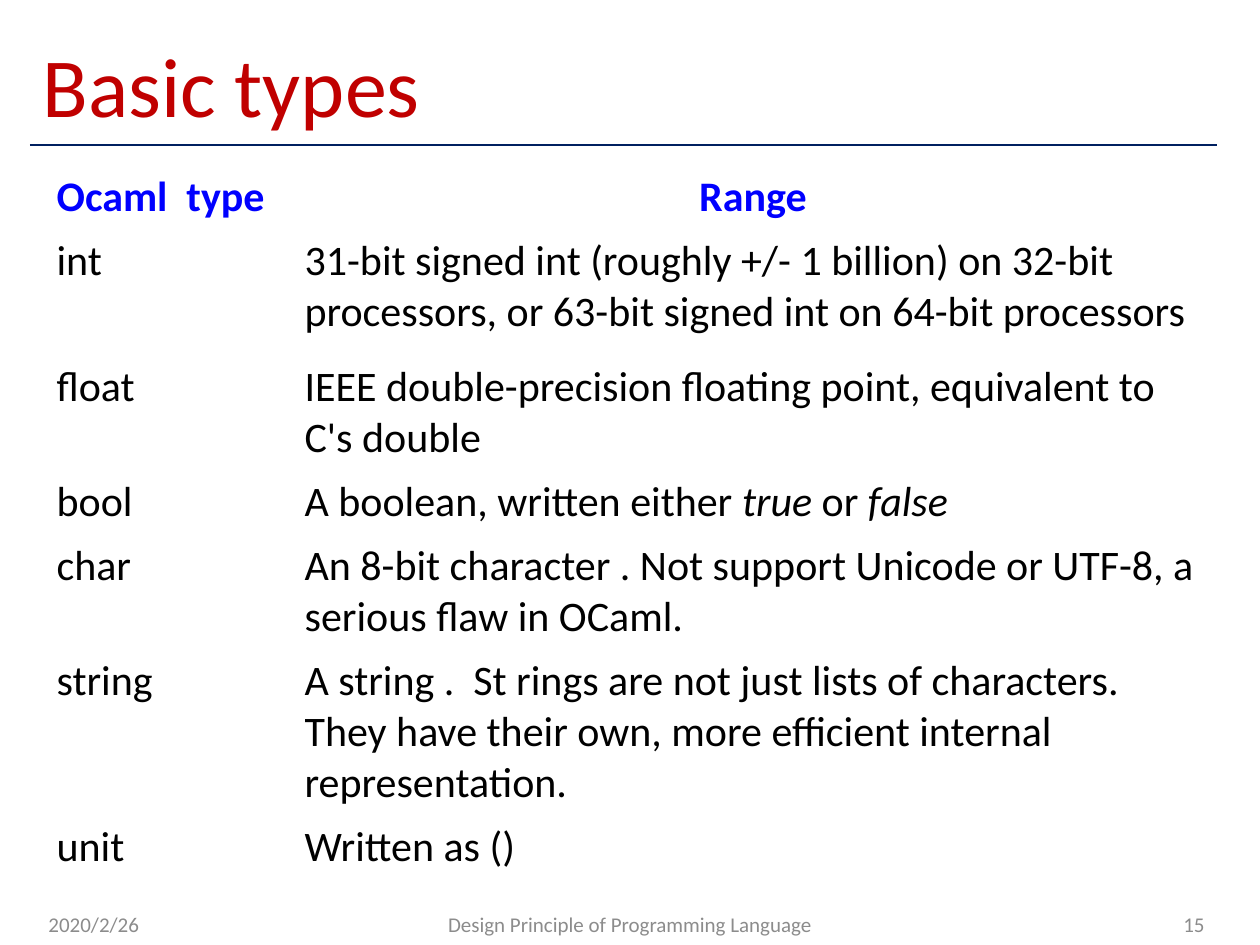
from dataclasses import dataclass

from lxml import etree
from pptx import Presentation, util as u
from pptx.dml.color import RGBColor
from pptx.enum import shapes, text
from pptx.oxml import ns

PX = 914400 // 126  # EMU per pixel


@dataclass(frozen=True)
class Theme:
    font: str = "Calibri"
    title: str = "C00000"
    rule: str = "002060"
    header: str = "0000FF"
    body: str = "000000"
    footer: str = "8C8C8C"
    title_size: int = 48
    body_size: int = 24
    footer_size: int = 12


theme = Theme()
align = text.PP_ALIGN


def px(*lengths):
    return [u.Emu(length * PX) for length in lengths]


def write(frame, words, size, color, bold=False, alignment=align.LEFT,
          anchor=text.MSO_ANCHOR.MIDDLE):
    """Fill a text frame; words between asterisks become italic."""
    frame.word_wrap = True
    frame.vertical_anchor = anchor
    paragraph = frame.paragraphs[0]
    paragraph.alignment = alignment
    for position, part in enumerate(words.split("*")):
        if part:
            run = paragraph.add_run()
            run.text = part
            font = run.font
            font.name, font.size, font.bold = theme.font, u.Pt(size), bold
            font.italic = position % 2 == 1
            font.color.rgb = RGBColor.from_string(color)


deck = Presentation()
deck.slide_width, deck.slide_height = px(1260, 945)
slide = deck.slides.add_slide(deck.slide_layouts[5])

# Title and the rule below it
title = slide.shapes.title
title.left, title.top, title.width, title.height = px(30, 16, 1144, 135)
title.text_frame.auto_size = text.MSO_AUTO_SIZE.NONE
write(title.text_frame, "Basic types", theme.title_size, theme.title)

rule = slide.shapes.add_connector(
    shapes.MSO_CONNECTOR.STRAIGHT, *px(30, 145, 1217, 145))
rule.line.color.rgb = RGBColor.from_string(theme.rule)
rule.line.width = u.Pt(1.5)
etree.SubElement(rule.element.spPr, ns.qn("a:effectLst"))

# Table of types
types = [
    ("Ocaml  type", "Range", 63),
    ("int", "31-bit signed int (roughly +/- 1 billion) on 32-bit processors, "
            "or 63-bit signed int on 64-bit processors", 126),
    ("float", "IEEE double-precision floating point, equivalent to C's double", 115),
    ("bool", "A boolean, written either *true* or *false*", 64),
    ("char", "An 8-bit character . Not support Unicode or UTF-8, "
             "a serious flaw in OCaml.", 115),
    ("string", "A string .  St rings are not just lists of characters. They have "
               "their own, more efficient internal representation.", 166),
    ("unit", "Written as ()", 64),
]
column_widths = (248, 922)
total_height = sum(height for *_, height in types)
table = slide.shapes.add_table(
    len(types), 2, *px(44, 165, sum(column_widths), total_height)).table
table.first_row = table.horz_banding = False
for column, width in zip(table.columns, px(*column_widths)):
    column.width = width
for row, (name, value_range, height) in enumerate(types):
    table.rows[row].height = px(height)[0]
    is_header = row == 0
    for column, words in enumerate((name, value_range)):
        cell = table.cell(row, column)
        cell.fill.background()
        cell.vertical_anchor = text.MSO_ANCHOR.TOP
        write(cell.text_frame, words, theme.body_size,
              theme.header if is_header else theme.body, bold=is_header,
              alignment=align.CENTER if is_header and column else align.LEFT,
              anchor=None)

# Footer: date, course, page number
for left, width, words, alignment in (
        (36, 294, "2020/2/26", align.LEFT),
        (430, 400, "Design Principle of Programming Language", align.CENTER),
        (923, 294, "15", align.RIGHT)):
    footer = slide.shapes.add_textbox(*px(left, 899, width, 50))
    write(footer.text_frame, words, theme.footer_size, theme.footer,
          alignment=alignment)

deck.save("out.pptx")
